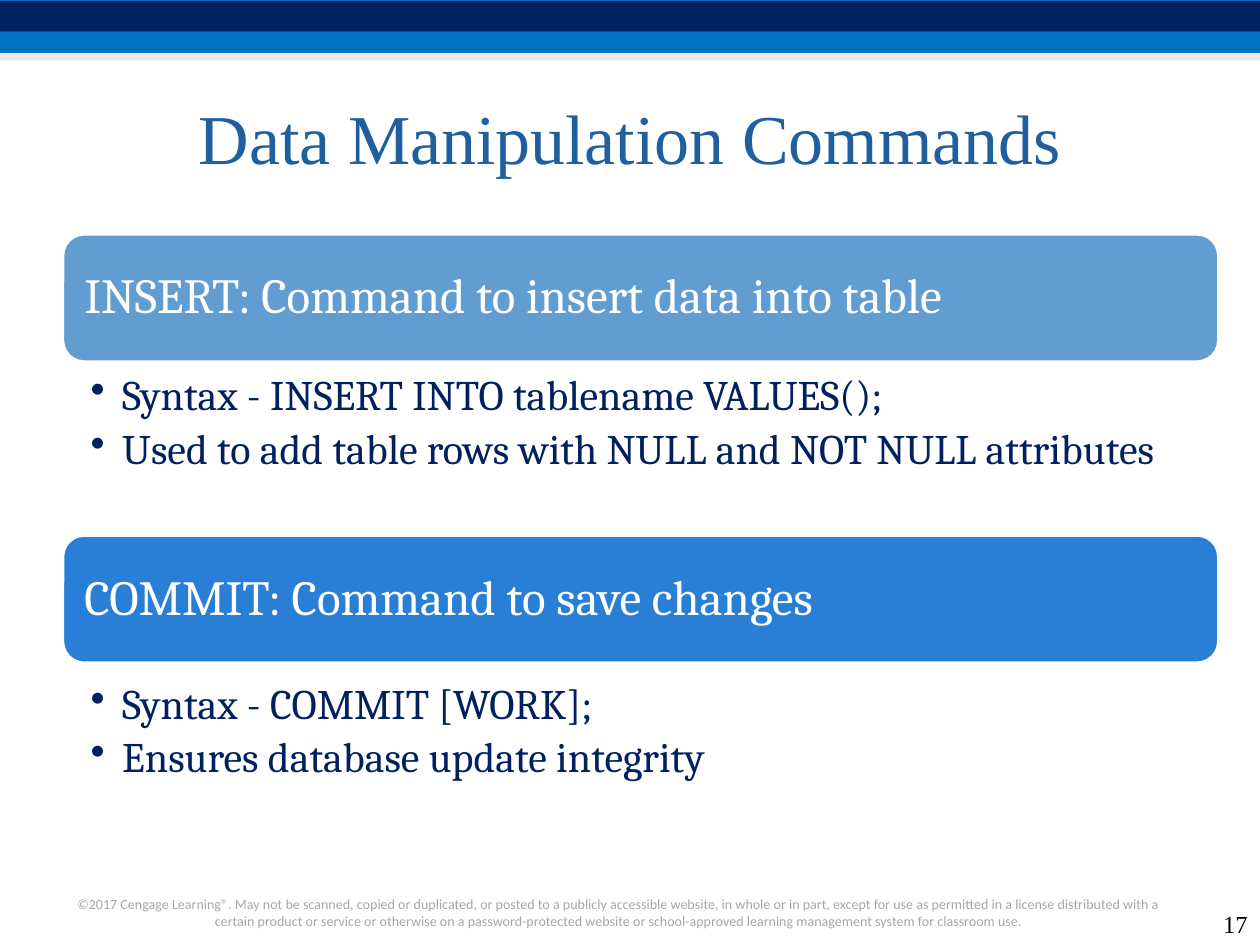
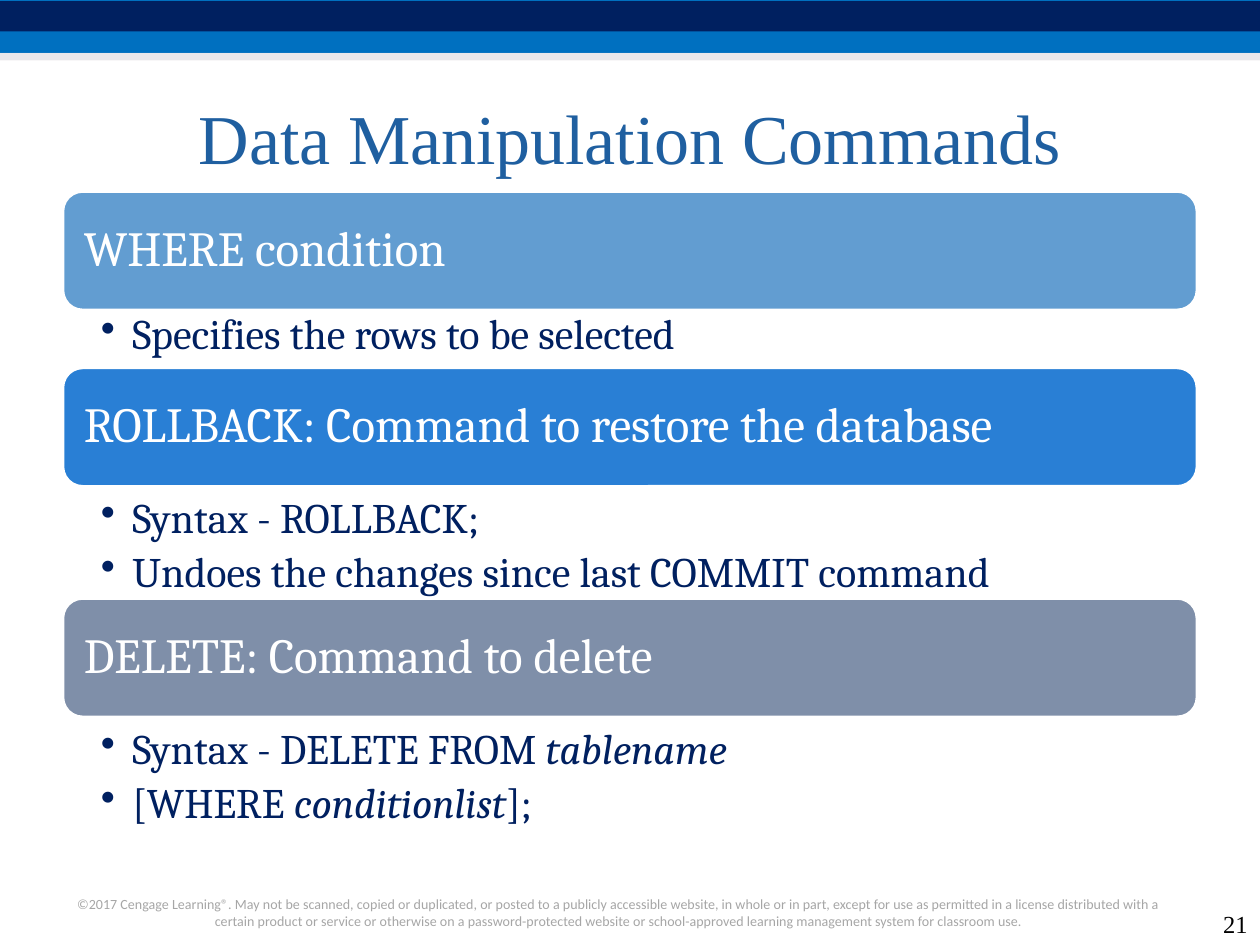
from dataclasses import dataclass
from typing import NamedTuple

from lxml import etree
from pptx import Presentation
from pptx import util as u
from pptx.dml.color import RGBColor
from pptx.enum import shapes, text
from pptx.oxml import ns

COLUMNS, ROWS = 100, 75


@dataclass(frozen=True)
class Theme:
    navy: str = "002060"
    blue: str = "0070C0"
    mist: str = "D8D3D9"
    heading: str = "1F5FA0"
    white: str = "FFFFFF"
    grey: str = "A6A6A6"
    black: str = "000000"
    bands: tuple = ("629DD1", "297FD5", "7F8FA9")
    title_font: str = "Times New Roman"
    body_font: str = "Cambria"
    notice_font: str = "Calibri"
    title_size: int = 40
    band_size: int = 28
    bullet_size: int = 24
    number_size: int = 14
    notice_size: int = 8


class Box(NamedTuple):
    left: float
    top: float
    width: float
    height: float


class Section(NamedTuple):
    top: float
    gap: float
    heading: str
    bullets: tuple


THEME = Theme()
TITLE = "Data Manipulation Commands"
NOTICE = (
    "©2017 Cengage Learning®. May not be scanned, copied or duplicated, or posted to a "
    "publicly accessible website, in whole or in part, except for use as permitted in a "
    "license distributed with a certain product or service or otherwise on a "
    "password-protected website or school-approved learning management system for "
    "classroom use."
)
INSERT_COMMIT = (
    Section(18.6, 0.7, "INSERT: Command to insert data into table", (
        "Syntax - INSERT INTO tablename VALUES();",
        "Used to add table rows with NULL and NOT NULL attributes")),
    Section(42.5, 1.3, "COMMIT: Command to save changes", (
        "Syntax - COMMIT [WORK];",
        "Ensures database update integrity")),
)
WHERE_ROLLBACK_DELETE = (
    Section(15.2, 0, "WHERE condition", ("Specifies the rows to be selected",)),
    Section(29.2, 0.6, "ROLLBACK: Command to restore the database", (
        "Syntax - ROLLBACK;",
        "Undoes the changes since last COMMIT command")),
    Section(47.5, 0.6, "DELETE: Command to delete", (
        "Syntax - DELETE FROM *tablename*",
        "[WHERE *conditionlist*];")),
)


def place(deck, box):
    column, row = deck.slide_width / COLUMNS, deck.slide_height / ROWS
    return [round(length * unit) for length, unit in zip(box, (column, row, column, row))]


def add_element(parent, tag, **attributes):
    return etree.SubElement(parent, ns.qn(tag), attributes)


def style_font(font, name, size, color):
    font.name = name
    font.size = u.Pt(size)
    font.color.rgb = RGBColor.from_string(color)


def set_insets(frame, left, top, right, bottom):
    frame.margin_left, frame.margin_top = u.Inches(left), u.Inches(top)
    frame.margin_right, frame.margin_bottom = u.Inches(right), u.Inches(bottom)


def set_spacing(para, after_percent):
    after = add_element(para._p.get_or_add_pPr(), "a:spcAft")
    add_element(after, "a:spcPct", val=str(after_percent * 1000))
    para.line_spacing = 0.9


def add_block(deck, page, box, kind, color, opacity=100):
    block = page.shapes.add_shape(kind, *place(deck, box))
    block.shadow.inherit = False
    block.fill.solid()
    block.fill.fore_color.rgb = RGBColor.from_string(color)
    block.line.fill.background()
    if opacity < 100:
        fill = block._element.spPr.find(ns.qn("a:solidFill"))
        add_element(fill[0], "a:alpha", val=str(opacity * 1000))
    return block


def add_label(deck, page, box, words, font, size, color, align, anchor):
    frame = page.shapes.add_textbox(*place(deck, box)).text_frame
    frame.word_wrap = True
    frame.vertical_anchor = anchor
    frame.text = words
    para = frame.paragraphs[0]
    para.alignment = align
    style_font(para.runs[0].font, font, size, color)


def draw_frame(deck, page, number):
    align, anchor = text.PP_ALIGN, text.MSO_ANCHOR
    for top, height, color, opacity in (
        (0, 4.2, THEME.blue, 100),
        (0.1, 2.4, THEME.navy, 100),
        (4.2, 0.6, THEME.mist, 50),
    ):
        add_block(deck, page, Box(0, top, COLUMNS, height),
                  shapes.MSO_SHAPE.RECTANGLE, color, opacity)
    add_label(deck, page, Box(5, 70.6, 88.3, 3.7), NOTICE, THEME.notice_font,
              THEME.notice_size, THEME.grey, align.CENTER, anchor.TOP)
    add_label(deck, page, Box(5, 5, 90, 11.7), TITLE, THEME.title_font,
              THEME.title_size, THEME.heading, align.CENTER, anchor.MIDDLE)
    add_label(deck, page, Box(95, 71.7, 5, 3.3), str(number), THEME.title_font,
              THEME.number_size, THEME.black, align.RIGHT, anchor.BOTTOM)


def draw_band(deck, page, box, heading, color):
    band = add_block(deck, page, box, shapes.MSO_SHAPE.ROUNDED_RECTANGLE, color)
    band.line.color.rgb = RGBColor.from_string(THEME.white)
    band.line.width = u.Pt(1.5)
    frame = band.text_frame
    frame.word_wrap = True
    frame.vertical_anchor = text.MSO_ANCHOR.MIDDLE
    set_insets(frame, 0.12, 0.12, 0.12, 0.12)
    frame.text = heading
    para = frame.paragraphs[0]
    set_spacing(para, 35)
    para.alignment = text.PP_ALIGN.LEFT
    style_font(para.runs[0].font, THEME.body_font, THEME.band_size, THEME.white)


def draw_bullets(deck, page, box, bullets):
    frame = page.shapes.add_textbox(*place(deck, box)).text_frame
    frame.word_wrap = True
    set_insets(frame, 0.3, 0.03, 0.19, 0.03)
    for index, bullet in enumerate(bullets):
        para = frame.add_paragraph() if index else frame.paragraphs[0]
        para.level = 1
        set_spacing(para, 20)
        properties = para._p.get_or_add_pPr()
        properties.set("marL", str(u.Inches(0.25)))
        properties.set("indent", str(-u.Inches(0.25)))
        add_element(properties, "a:buChar", char="•")
        for part, words in enumerate(bullet.split("*")):
            span = para.add_run()
            span.text = words
            style_font(span.font, THEME.body_font, THEME.bullet_size, THEME.navy)
            span.font.italic = part % 2 == 1


def draw_command_page(deck, number, sections, band_box, bullet_box):
    page = deck.slides.add_slide(deck.slide_layouts[6])
    draw_frame(deck, page, number)
    for section, color in zip(sections, THEME.bands):
        band = band_box._replace(top=section.top)
        draw_band(deck, page, band, section.heading, color)
        below = band.top + band.height + section.gap
        draw_bullets(deck, page, bullet_box._replace(top=below), section.bullets)


def main():
    deck = Presentation()
    deck.slide_width, deck.slide_height = u.Inches(10), u.Inches(7.5)
    draw_command_page(deck, 17, INSERT_COMMIT,
                      Box(5, 0, 91.7, 10.1), Box(4.2, 0, 93.3, 11.8))
    draw_command_page(deck, 21, WHERE_ROLLBACK_DELETE,
                      Box(5, 0, 90, 9.4), Box(5, 0, 90, 8.3))
    deck.save("out.pptx")


if __name__ == "__main__":
    main()
